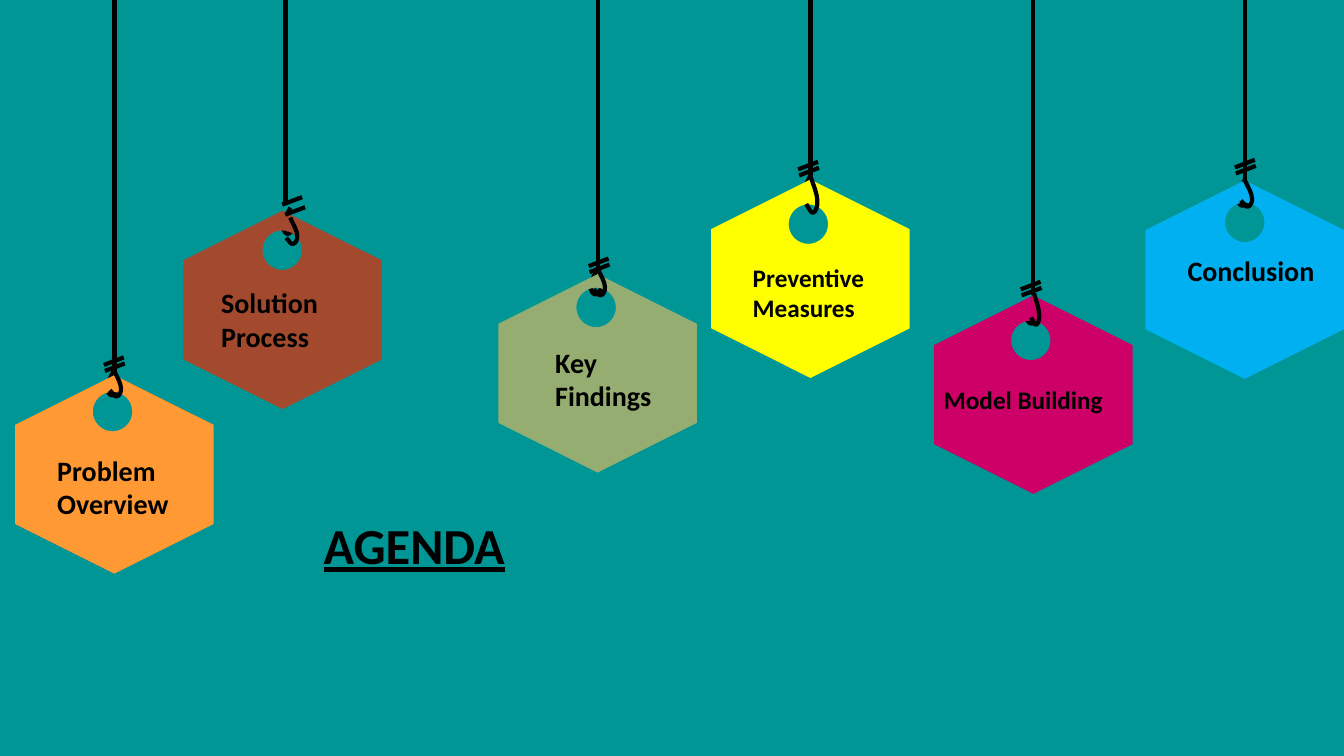
from dataclasses import dataclass

from lxml.etree import SubElement
from pptx import Presentation
from pptx.dml.color import RGBColor
from pptx.enum.shapes import MSO_CONNECTOR as CONN
from pptx.enum.text import MSO_ANCHOR as ANCHOR, MSO_AUTO_SIZE as AUTO, PP_ALIGN as ALIGN
from pptx.oxml.ns import qn
from pptx.util import Pt

TEAL = RGBColor(0x00, 0x96, 0x96)
BLACK = RGBColor(0x00, 0x00, 0x00)
ORANGE = RGBColor(0xFF, 0x99, 0x33)
RUST = RGBColor(0xA3, 0x4A, 0x2E)
SAGE = RGBColor(0x95, 0xAD, 0x70)
YELLOW = RGBColor(0xFF, 0xFF, 0x00)
MAGENTA = RGBColor(0xCC, 0x00, 0x66)
BLUE = RGBColor(0x00, 0xB0, 0xF0)

TAG = 141.75
HOLE_R = 14.1
HEXAGON = [(0.5, 0), (1, 0.25), (1, 0.75), (0.5, 1), (0, 0.75), (0, 0.25)]
CIRCLE = [(0, -1), (-0.55, -1), (-1, -0.55), (-1, 0), (-1, 0.55), (-0.55, 1), (0, 1),
          (0.55, 1), (1, 0.55), (1, 0), (1, -0.55), (0.55, -1), (0, -1)]
HOOK = [(0.36, 0), (0.66, 0.27), (1, 0.5), (1, 0.69), (1.05, 0.85),
        (0.8, 1), (0.64, 1), (0.45, 1.04), (0.25, 0.88), (0, 0.77)]


@dataclass
class Tag:
    """A hanging tag; all offsets are relative to its top-left corner."""
    lines: list
    color: RGBColor
    left: float
    top: float
    hole: tuple
    cord: tuple
    back: tuple
    front: tuple
    knot: tuple
    label: tuple
    size: int = 20
    hook: tuple = (7.9, 18.7)
    knot_step: tuple = (-0.7, -4.3)


TAGS = [
    Tag(["Problem Overview"], ORANGE, 10.8, 268, (69.6, 26), (71, 0), (66, -4.3),
        (67.7, -3.6), (64.1, -3), (23, 52.2, 105.8, 55.4)),
    Tag(["Solution Process"], RUST, 131, 150.5, (70.6, 28.2), (73, -4.3), (71.3, -2.2),
        (73.4, 5), (72.7, 2.9), (19.9, 50.1, 105.8, 55.4), knot_step=(-2.1, -7.2)),
    Tag(["Key Findings"], SAGE, 356, 195.8, (69.8, 23.8), (71, -4.3), (66, -4.3),
        (68.2, -3.6), (65.2, -1.4), (33.5, 47.2, 87.8, 55.4)),
    Tag(["Preventive ", "Measures"], YELLOW, 508, 128.2, (69.4, 31.9), (71, -2.9),
        (66.2, -3.6), (67.9, -2.9), (62.8, -2.9), (22.6, 55.4, 100.8, 51.1),
        size=18, hook=(7.9, 26.6)),
    Tag(["Model Building"], MAGENTA, 667.2, 211, (69.1, 32.1), (70.7, 0), (66.2, 1.4),
        (69.3, -1.4), (62.6, 0), (0, 60.2, 172, 28.8), size=18, hook=(5.8, 22.3)),
    Tag(["Conclusion"], BLUE, 818.2, 128.9, (70.9, 29.9), (71, 0), (66, -0.7),
        (68.2, 0), (64.6, -5), (23, 48.7, 105.8, 31.7)),
]


def apply(obj, **values):
    """Set attributes from format values."""
    for name, value in values.items():
        setattr(obj, name, value)


def place(vertices, x, y, w, h):
    """Scale unit vertices into a box and convert them to slide lengths."""
    return [(Pt(x + u * w), Pt(y + v * h)) for u, v in vertices]


def outline(shapes, curve, *polygons):
    """Build a freeform from one curved contour and any straight ones."""
    builder = shapes.build_freeform(*curve[0], scale=1.0)
    builder.add_line_segments(curve[1:], close=bool(polygons))
    for first, *rest in polygons:
        builder.move_to(*first)
        builder.add_line_segments(rest, close=True)
    sp = builder.convert_to_shape()
    sp.shadow.inherit = False
    segments = list(sp._element.iter(qn("a:lnTo")))[:len(curve) - 1]
    for i in range(0, len(segments), 3):
        bezier = segments[i].makeelement(qn("a:cubicBezTo"))
        segments[i].addprevious(bezier)
        for segment in segments[i:i + 3]:
            bezier.append(segment[0])
            segment.getparent().remove(segment)
    return sp


def stroke(line):
    """Give a line the black cord style."""
    line.color.rgb = BLACK
    line.width = Pt(3)


def add_line(shapes, x1, y1, x2, y2):
    """Draw one straight piece of cord."""
    cxn = shapes.add_connector(CONN.STRAIGHT, Pt(x1), Pt(y1), Pt(x2), Pt(y2))
    stroke(cxn.line)
    SubElement(cxn._element.spPr, qn("a:effectLst"))


def add_hook(shapes, x, y, w, h, flip=False):
    """Draw a hook inside its box, mirrored when it lies behind the tag."""
    vertices = [(1 - u, v) for u, v in HOOK] if flip else HOOK
    sp = outline(shapes, place(vertices, x, y, w, h))
    sp.fill.background()
    stroke(sp.line)


def write(tf, lines, size, **font):
    """Fill a text frame with left-aligned bold lines."""
    apply(tf, word_wrap=True, auto_size=AUTO.SHAPE_TO_FIT_TEXT, vertical_anchor=ANCHOR.TOP)
    for i, text in enumerate(lines):
        p = tf.add_paragraph() if i else tf.paragraphs[0]
        p.alignment = ALIGN.LEFT
        r = p.add_run()
        r.text = text
        apply(r.font, name="Calibri", size=Pt(size), bold=True, **font)
        r.font.color.rgb = BLACK


def add_tag(s, tag):
    """Draw a pierced hexagon with its cord, hooks, knot and label."""
    x, y = tag.left, tag.top

    def at(offset):
        return x + offset[0], y + offset[1]

    add_hook(s.shapes, *at(tag.back), 7.9, 18.7, flip=True)
    group = s.shapes.add_group_shape().shapes
    sp = outline(group, place(CIRCLE, *at(tag.hole), HOLE_R, HOLE_R),
                 place(HEXAGON, x, y, TAG, TAG))
    sp.fill.solid()
    sp.fill.fore_color.rgb = tag.color
    sp.line.fill.background()
    left, top, w, h = tag.label
    box = group.add_textbox(*map(Pt, (*at((left, top)), w, h)))
    write(box.text_frame, tag.lines, tag.size)
    cord_x, cord_y = at(tag.cord)
    add_line(s.shapes, cord_x, cord_y, cord_x, 0)
    add_hook(s.shapes, *at(tag.front), *tag.hook)
    kx, ky = at(tag.knot)
    for i in range(2):
        tx, ty = kx + i * tag.knot_step[0], ky + i * tag.knot_step[1]
        add_line(s.shapes, tx, ty, tx + 14.2, ty - 5.4)


def add_title(s, left, top, width, height):
    """Place the underlined slide title."""
    sp = s.shapes.title
    apply(sp, left=Pt(left), top=Pt(top), width=Pt(width), height=Pt(height))
    write(sp.text_frame, ["AGENDA"], 36, underline=True)


def main():
    """Build the agenda slide."""
    prs = Presentation()
    apply(prs, slide_width=Pt(960), slide_height=Pt(540))
    s = prs.slides.add_slide(prs.slide_layouts[5])
    s.background.fill.solid()
    s.background.fill.fore_color.rgb = TEAL
    add_title(s, 224, 363.6, 203.8, 51)
    for tag in TAGS:
        add_tag(s, tag)
    prs.save("out.pptx")


main()
